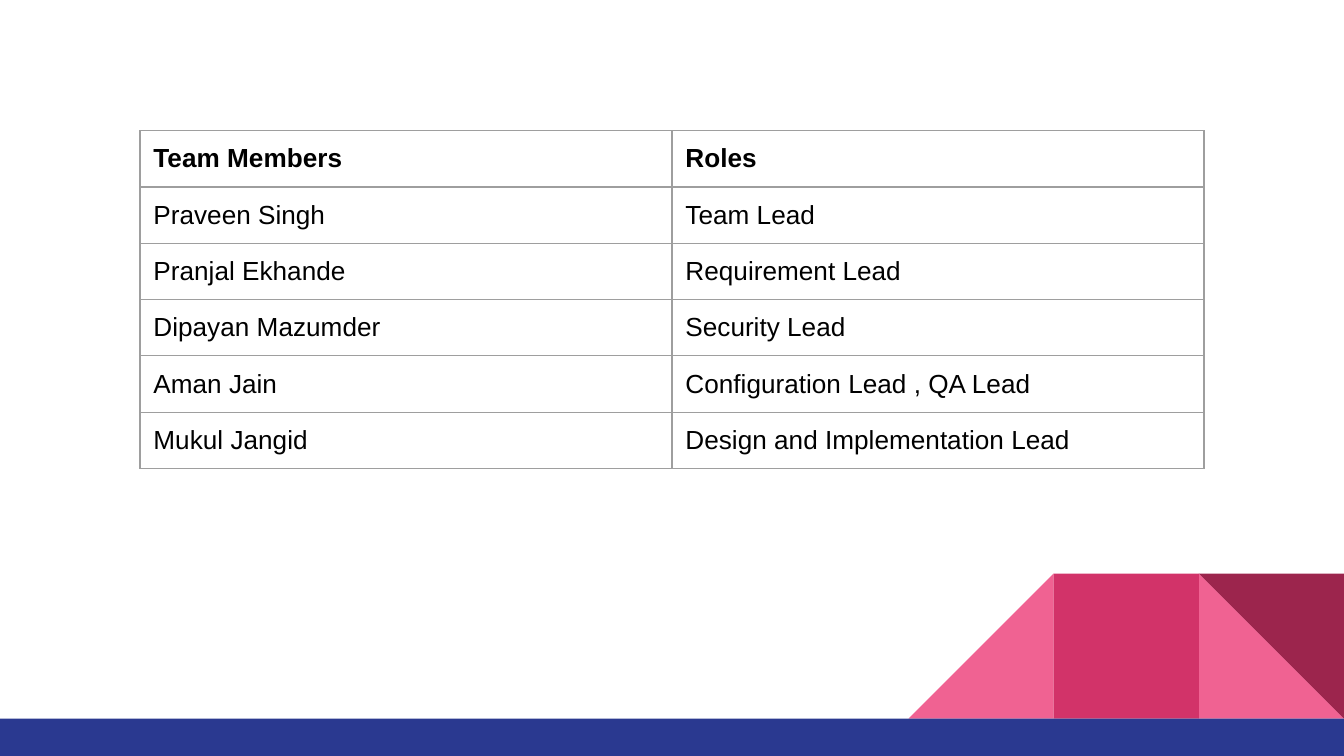
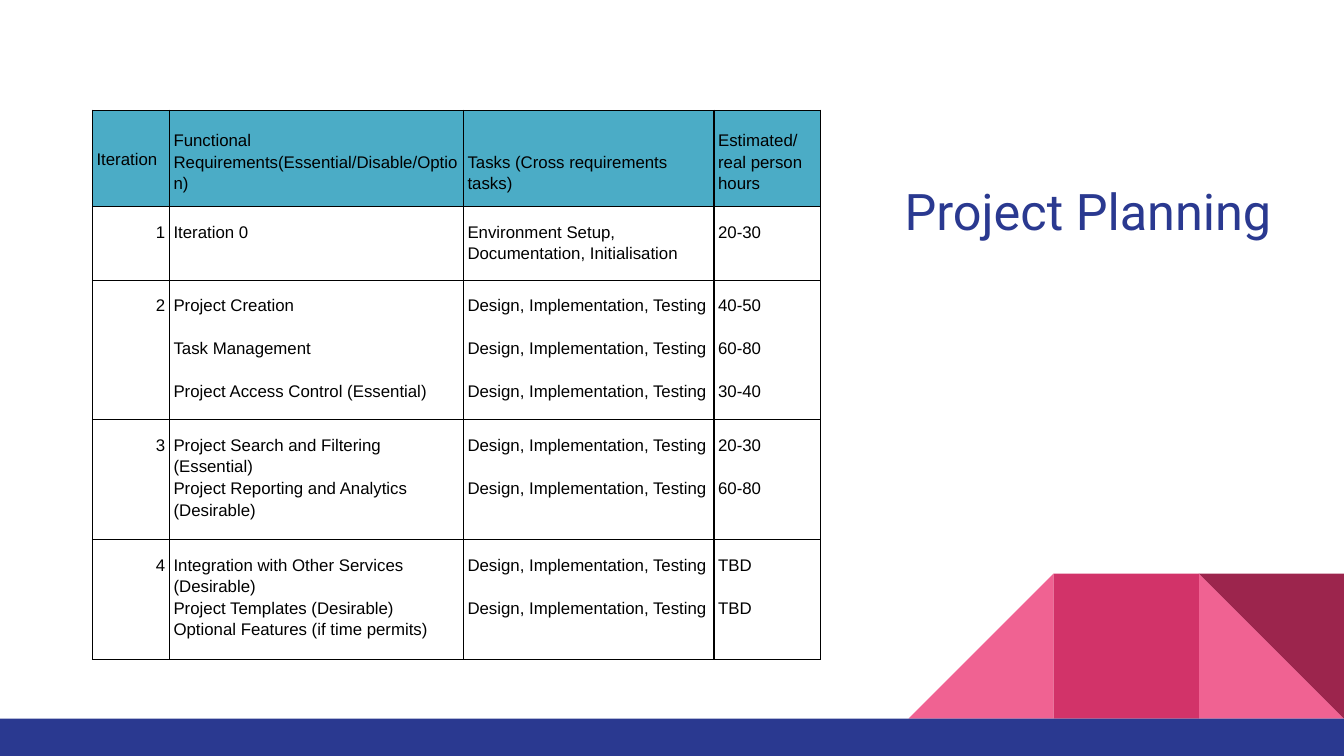
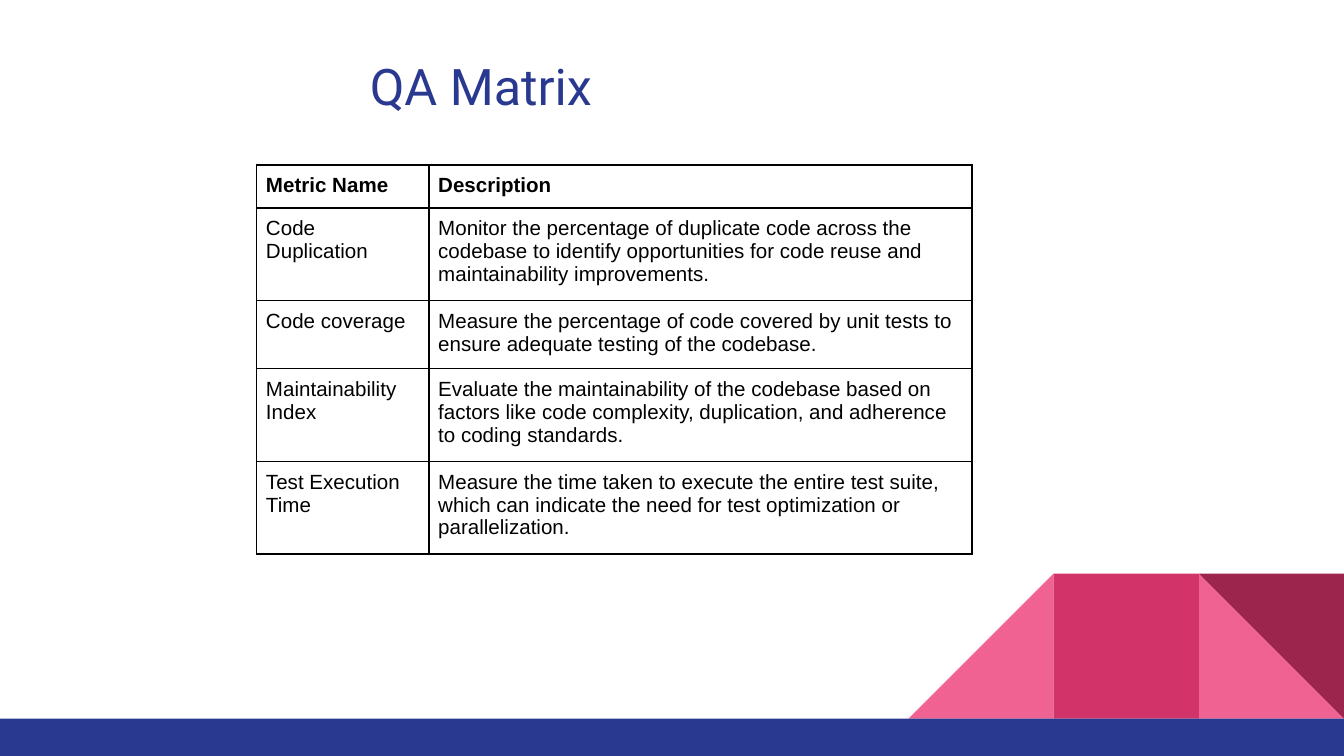
import lxml.etree
import pptx
import pptx.dml.color
import pptx.enum.shapes
import pptx.enum.text
import pptx.oxml.ns
import pptx.util

Pt = pptx.util.Pt
PRESET = pptx.enum.shapes.MSO_SHAPE
ALIGN = pptx.enum.text.PP_ALIGN
ANCHOR = pptx.enum.text.MSO_ANCHOR

SLIDE_WIDTH, SLIDE_HEIGHT = 720, 405
COLORS = {
    "navy": "2A3990",
    "pink": "F06292",
    "rose": "D23369",
    "wine": "9C254D",
    "teal": "4BACC6",
    "gray": "9E9E9E",
    "black": "000000",
}
BODY_FONT, TITLE_FONT = "Arial", "Roboto"

TEAM = [
    ["Team Members", "Roles"],
    ["Praveen Singh", "Team Lead"],
    ["Pranjal Ekhande", "Requirement Lead"],
    ["Dipayan Mazumder", "Security Lead"],
    ["Aman Jain", "Configuration Lead , QA Lead"],
    ["Mukul Jangid", "Design and Implementation Lead"],
]

PHASES = "Design, Implementation, Testing"
PLAN = [
    ["Iteration", "Functional Requirements(Essential/Disable/Option)",
     "Tasks (Cross requirements tasks)", "Estimated/real person hours"],
    ["1", "Iteration 0", "Environment Setup, Documentation, Initialisation", "20-30"],
    ["2", "Project Creation\nTask Management\nProject Access Control (Essential)",
     "\n".join([PHASES] * 3), "40-50\n60-80\n30-40"],
    ["3", "Project Search and Filtering (Essential)\n"
          "Project Reporting and Analytics (Desirable)",
     "\n".join([PHASES] * 2), "20-30\n60-80"],
    ["4", "Integration with Other Services (Desirable)\n"
          "Project Templates (Desirable)\nOptional Features (if time permits)",
     "\n".join([PHASES] * 2), "TBD\nTBD"],
]

METRICS = [
    ["Metric Name", "Description"],
    ["Code Duplication",
     "Monitor the percentage of duplicate code across the codebase to identify "
     "opportunities for code reuse and maintainability improvements."],
    ["Code coverage",
     "Measure the percentage of code covered by unit tests to ensure adequate "
     "testing of the codebase."],
    ["Maintainability Index",
     "Evaluate the maintainability of the codebase based on factors like code "
     "complexity, duplication, and adherence to coding standards."],
    ["Test Execution Time",
     "Measure the time taken to execute the entire test suite, which can indicate "
     "the need for test optimization or parallelization."],
]


def rgb(name):
    return pptx.dml.color.RGBColor.from_string(COLORS[name])


def style_paragraph(paragraph, font, size, color, bold=False):
    for run in paragraph.runs:
        run.font.name = font
        run.font.size = Pt(size)
        run.font.bold = bold
        run.font.color.rgb = rgb(color)


def add_block(shapes, preset, left, top, width, height, color):
    block = shapes.add_shape(preset, Pt(left), Pt(top), Pt(width), Pt(height))
    block.shadow.inherit = False
    block.fill.solid()
    block.fill.fore_color.rgb = rgb(color)
    block.line.fill.background()
    return block


# Folded ribbon above the bottom band, on every slide
def add_footer(slide, band_top=385, tile=77.75):
    shapes = slide.shapes.add_group_shape().shapes
    top = band_top - tile
    left, middle, right = (SLIDE_WIDTH - tile * n for n in (3, 2, 1))
    add_block(shapes, PRESET.RIGHT_TRIANGLE, right, top, tile, tile, "pink")
    left_fold = add_block(shapes, PRESET.RIGHT_TRIANGLE, left, top, tile, tile, "pink")
    left_fold.element.spPr.xfrm.set("flipH", "1")
    add_block(shapes, PRESET.RECTANGLE, middle, top, tile, tile, "rose")
    right_fold = add_block(shapes, PRESET.RIGHT_TRIANGLE, right, top, tile, tile, "wine")
    right_fold.rotation = 180
    add_block(shapes, PRESET.RECTANGLE, 0, band_top,
              SLIDE_WIDTH, SLIDE_HEIGHT - band_top, "navy")


def add_title(slide, title, left, top, width, height=47.5):
    frame = slide.shapes.add_textbox(Pt(left), Pt(top), Pt(width), Pt(height)).text_frame
    frame.word_wrap = True
    frame.margin_left = frame.margin_right = Pt(7.2)
    frame.margin_top = frame.margin_bottom = Pt(7.2)
    frame.text = title
    style_paragraph(frame.paragraphs[0], TITLE_FONT, 27, "navy")


def set_borders(cell, color, width):
    properties = cell._tc.get_or_add_tcPr()
    for index, side in enumerate(("lnL", "lnR", "lnT", "lnB")):
        line = lxml.etree.Element(pptx.oxml.ns.qn(f"a:{side}"), w=str(Pt(width)))
        fill = lxml.etree.SubElement(line, pptx.oxml.ns.qn("a:solidFill"))
        lxml.etree.SubElement(fill, pptx.oxml.ns.qn("a:srgbClr"), val=COLORS[color])
        properties.insert(index, line)


def add_grid(slide, entries, left, top, columns, rows, size, margins,
             border, border_width, bold_header=True):
    table = slide.shapes.add_table(
        len(rows), len(columns), Pt(left), Pt(top), Pt(sum(columns)), Pt(sum(rows))).table
    table.first_row = table.horz_banding = False
    for column, width in zip(table.columns, columns):
        column.width = Pt(width)
    for row, height in zip(table.rows, rows):
        row.height = Pt(height)
    side_margin, end_margin = margins
    for r, entry in enumerate(entries):
        for c, words in enumerate(entry):
            cell = table.cell(r, c)
            cell.margin_left = cell.margin_right = Pt(side_margin)
            cell.margin_top = cell.margin_bottom = Pt(end_margin)
            cell.fill.background()
            set_borders(cell, border, border_width)
            cell.text_frame.text = words
            for paragraph in cell.text_frame.paragraphs:
                style_paragraph(paragraph, BODY_FONT, size, "black",
                                bold=bold_header and r == 0)
    return table


def build_team(slide):
    add_grid(slide, TEAM, 75, 70, [285] * 2, [30.15] * len(TEAM), 14, (7.2, 7.2),
             "gray", 0.75)


def build_planning(slide):
    add_title(slide, "Project Planning", 477.5, 89.25, 216)
    table = add_grid(slide, PLAN, 49.5, 59, [41.25, 157.5, 134.25, 57],
                     [49, 37, 72, 60.5, 60.5], 9, (2.25, 7.2), "black", 0.75,
                     bold_header=False)
    for r in range(len(PLAN)):
        for c in range(len(PLAN[0])):
            cell = table.cell(r, c)
            # Requirements that wrap fill the gap between items themselves
            gap = 0 if c == 1 and r > 2 else 11.5
            for n, paragraph in enumerate(cell.text_frame.paragraphs):
                paragraph.line_spacing = 1.15
                paragraph.space_before = Pt(gap if n else 0)
                if c == 0 and r > 0:
                    paragraph.alignment = ALIGN.RIGHT
            if r == 0:
                cell.fill.solid()
                cell.fill.fore_color.rgb = rgb("teal")
                cell.vertical_anchor = ANCHOR.BOTTOM if c else ANCHOR.MIDDLE


def build_quality(slide):
    add_title(slide, "QA Matrix", 191, 22.5, 248.5)
    add_grid(slide, METRICS, 137.5, 88.25, [92.25, 291],
             [22.5, 46.5, 34.5, 46.5, 46.5], 11, (5, 5), "black", 1)


def main():
    deck = pptx.Presentation()
    deck.slide_width, deck.slide_height = Pt(SLIDE_WIDTH), Pt(SLIDE_HEIGHT)
    blank = deck.slide_layouts[6]
    for build in (build_team, build_planning, build_quality):
        slide = deck.slides.add_slide(blank)
        add_footer(slide)
        build(slide)
    deck.save("out.pptx")


if __name__ == "__main__":
    main()
